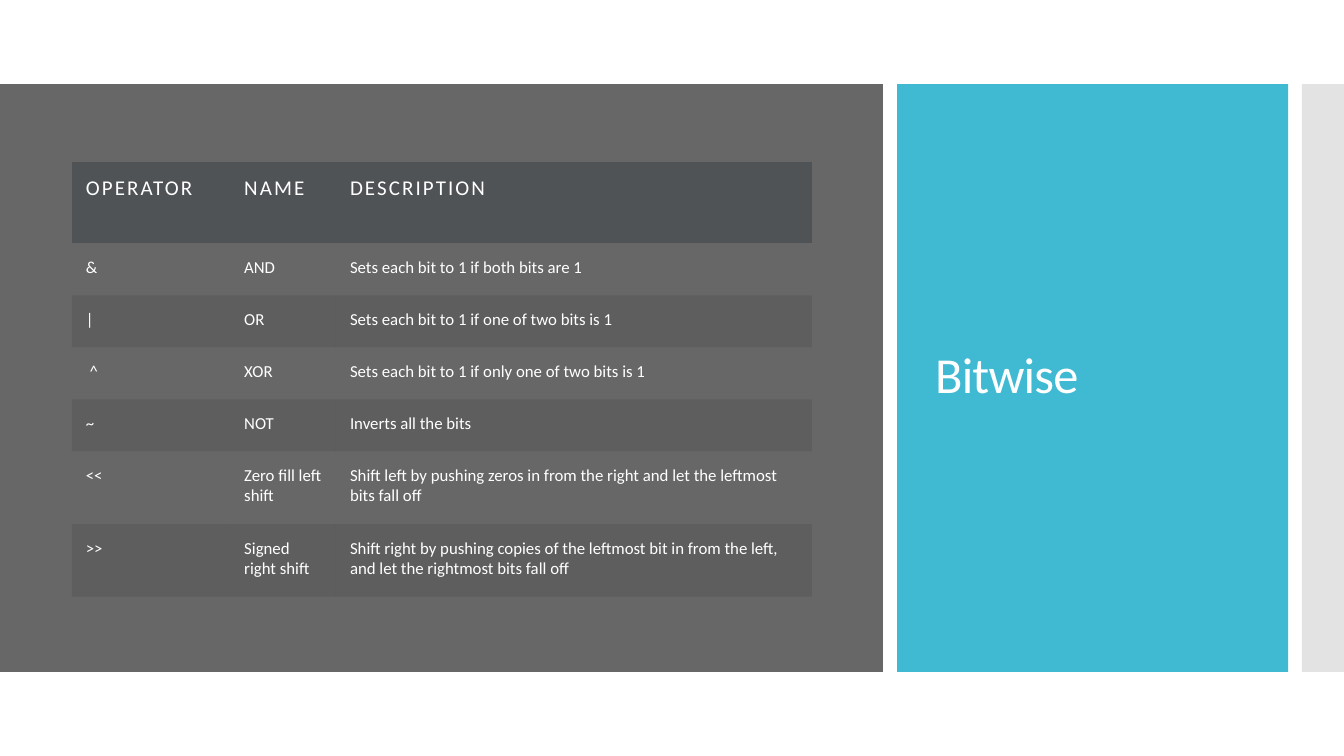
from pptx import Presentation
from pptx import util as u
from pptx.dml.color import RGBColor
from pptx.enum import shapes, text
from pptx.oxml.ns import qn

COLUMNS, ROWS = 32, 18
NO_STYLE = "{2D5ABB26-0587-4C30-8999-92F81FD0307C}"


def paint(fill, color, opacity=100):
    fill.solid()
    fill.fore_color.rgb = RGBColor.from_string(color)
    if opacity < 100:
        tint = fill._xPr.find(qn("a:solidFill"))[0]
        alpha = tint.makeelement(qn("a:alpha"), {"val": str(opacity * 1000)})
        tint.append(alpha)


class Deck:
    font = "Calibri"
    ink = "FFFFFF"
    gray = "676767"
    accent = "40BAD2"
    edge = "C8C8C8"
    header = "505356"
    band = "000000"

    def __init__(self):
        self.prs = Presentation()
        self.prs.slide_width = u.Inches(13.333)
        self.prs.slide_height = u.Inches(7.5)
        self.slide = self.prs.slides.add_slide(self.prs.slide_layouts[6])
        paint(self.slide.background.fill, self.gray)

    def across(self, columns):
        return round(self.prs.slide_width * columns / COLUMNS)

    def down(self, rows):
        return round(self.prs.slide_height * rows / ROWS)

    def place(self, left, top, width, height):
        return self.across(left), self.down(top), self.across(width), self.down(height)

    def panel(self, area, color, opacity=100):
        panel = self.slide.shapes.add_shape(shapes.MSO_SHAPE.RECTANGLE, *self.place(*area))
        panel.shadow.inherit = False
        panel.line.fill.background()
        paint(panel.fill, color, opacity)

    def set_words(self, frame, words, size, spacing=0):
        frame.word_wrap = True
        frame.text = words
        for run in frame.paragraphs[0].runs:
            run.font.name = self.font
            run.font.size = u.Pt(size)
            run.font.bold = False
            run.font.color.rgb = RGBColor.from_string(self.ink)
            run.font._element.set("spc", str(spacing))

    def title(self, area, words):
        frame = self.slide.shapes.add_textbox(*self.place(*area)).text_frame
        self.set_words(frame, words, 36, -60)
        frame.vertical_anchor = text.MSO_ANCHOR.MIDDLE
        frame.paragraphs[0].line_spacing = 0.9

    def table(self, left, top, widths, heights, entries):
        area = self.place(left, top, sum(widths), sum(heights))
        table = self.slide.shapes.add_table(len(heights), len(widths), *area).table
        table._tbl.tblPr.find(qn("a:tableStyleId")).text = NO_STYLE
        for column, width in zip(table.columns, widths):
            column.width = self.across(width)
        for row, height in zip(table.rows, heights):
            row.height = self.down(height)
        for r, entry in enumerate(entries):
            for c, words in enumerate(entry):
                self.cell(table.cell(r, c), words, r)

    def cell(self, cell, words, row):
        cell.margin_left = cell.margin_right = u.Inches(0.14)
        cell.margin_top = cell.margin_bottom = u.Inches(0.14)
        if row == 0:
            self.set_words(cell.text_frame, words, 15, 150)
            paint(cell.fill, self.header)
            return
        self.set_words(cell.text_frame, words, 12)
        if row % 2:
            cell.fill.background()
        else:
            paint(cell.fill, self.band, 8)


OPERATORS = [
    ("OPERATOR", "NAME", "DESCRIPTION"),
    ("&", "AND", "Sets each bit to 1 if both bits are 1"),
    ("|", "OR", "Sets each bit to 1 if one of two bits is 1"),
    (" ^", "XOR", "Sets each bit to 1 if only one of two bits is 1"),
    ("~", "NOT", "Inverts all the bits"),
    ("<<", "Zero fill left shift",
     "Shift left by pushing zeros in from the right and let the leftmost bits fall off"),
    (">>", "Signed right shift",
     "Shift right by pushing copies of the leftmost bit in from the left, "
     "and let the rightmost bits fall off"),
]


def main():
    deck = Deck()
    deck.panel((0, 0, COLUMNS, ROWS), deck.ink)
    deck.panel((0, 2, 21.02, 14), deck.gray)
    deck.panel((21.36, 2, 9.31, 14), deck.accent)
    deck.title((22.03, 2.95, 7.73, 12.07), "Bitwise")
    deck.panel((31, 2, 1, 14), deck.edge, 50)
    deck.table(1.71, 3.85, [3.77, 2.52, 11.33], [1.94] + [1.24] * 4 + [1.73] * 2, OPERATORS)
    deck.prs.save("out.pptx")


if __name__ == "__main__":
    main()
